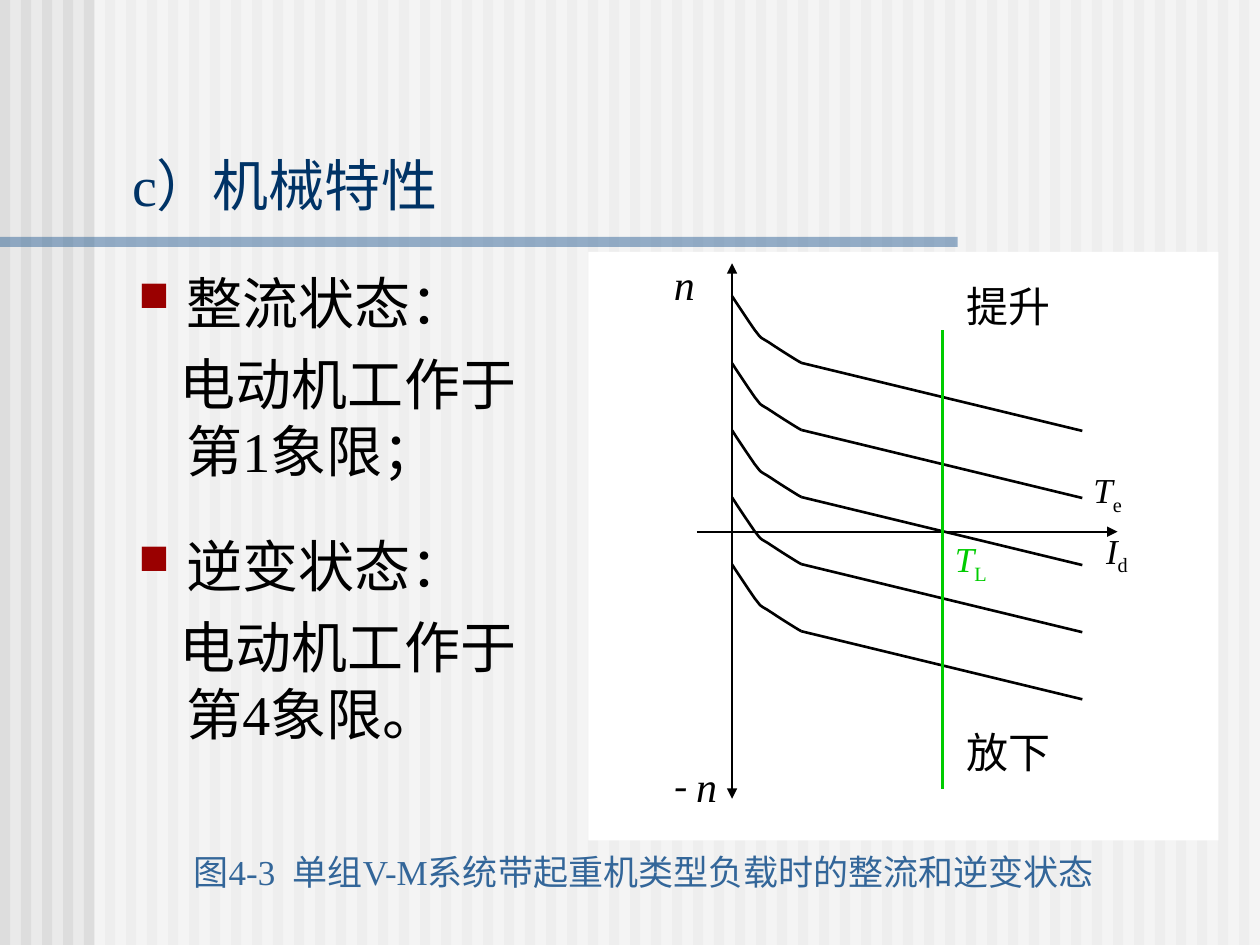
import pptx
import pptx.dml.color
import pptx.enum.shapes
import pptx.enum.text
import pptx.oxml
import pptx.oxml.ns
import pptx.util
from pptx.util import Inches

SERIF, SANS = "Times New Roman", "Karla"
BLACK, WHITE, GREEN = "000000", "FFFFFF", "00CC00"
NAVY, BLUE, RED, GREY = "003366", "336699", "9A0000", "DDDDDD"


def colour(code):
    return pptx.dml.color.RGBColor.from_string(code)


def element(tag, **attributes):
    node = pptx.oxml.parse_xml(f"<{tag} {pptx.oxml.ns.nsdecls('a')}/>")
    for key, value in attributes.items():
        node.set(key, str(value))
    return node


def add_run(paragraph, text, size=24, font=SERIF, color=BLACK, italic=False,
            baseline=None, spacing=None):
    run = paragraph.add_run()
    run.text = text
    run.font.size = pptx.util.Pt(size)
    run.font.name = font
    run.font.italic = italic
    run.font.color.rgb = colour(color)
    properties = run._r.get_or_add_rPr()
    if baseline is not None:
        properties.set("baseline", str(baseline))
    if spacing is not None:
        properties.set("spc", str(spacing))


def cubic(p0, p1, p2, p3, steps=8):
    """Points along a Bezier curve, without its start."""
    for step in range(1, steps + 1):
        t = step / steps
        weights = ((1 - t) ** 3, 3 * t * (1 - t) ** 2, 3 * t * t * (1 - t), t ** 3)
        yield tuple(sum(w * p[axis] for w, p in zip(weights, (p0, p1, p2, p3)))
                    for axis in (0, 1))


class SlideBuilder:
    def __init__(self, slide, background):
        self.slide = slide
        self.shapes = slide.shapes
        slide.background.fill.solid()
        slide.background.fill.fore_color.rgb = colour(background)

    def rect(self, x, y, w, h, fill, alpha=None):
        box = self.shapes.add_shape(pptx.enum.shapes.MSO_SHAPE.RECTANGLE,
                                    Inches(x), Inches(y), Inches(w), Inches(h))
        box.shadow.inherit = False
        box.fill.solid()
        box.fill.fore_color.rgb = colour(fill)
        box.line.fill.background()
        if alpha is not None:
            fill_color = box._element.spPr.find(".//" + pptx.oxml.ns.qn("a:srgbClr"))
            fill_color.append(element("a:alpha", val=alpha * 1000))

    def line(self, start, end, color=BLACK, width=1.5, arrow=False):
        stroke = self.shapes.add_connector(
            pptx.enum.shapes.MSO_CONNECTOR.STRAIGHT,
            *(Inches(value) for value in (*start, *end)))
        stroke.line.color.rgb = colour(color)
        stroke.line.width = pptx.util.Pt(width)
        if arrow:
            stroke.line._get_or_add_ln().append(element("a:tailEnd", type="triangle"))
        stroke._element.spPr.append(element("a:effectLst"))

    def curve(self, points, width=1.5):
        start, *rest = [(Inches(x), Inches(y)) for x, y in points]
        builder = self.shapes.build_freeform(*start)
        builder.add_line_segments(rest, close=False)
        outline = builder.convert_to_shape()
        outline.shadow.inherit = False
        outline.fill.background()
        outline.line.color.rgb = colour(BLACK)
        outline.line.width = pptx.util.Pt(width)

    def frame(self, x, y, w, h):
        frame = self.shapes.add_textbox(Inches(x), Inches(y), Inches(w), Inches(h)).text_frame
        frame.word_wrap = True
        return frame

    def label(self, x, y, w, h, *runs):
        """Each run is a text with a dict of its format."""
        frame = self.frame(x, y, w, h)
        for text, style in runs:
            add_run(frame.paragraphs[0], text, **style)
        return frame

    def symbol(self, x, y, letter, index, color=BLACK):
        self.label(x, y, 0.66, 0.48,
                   (letter, dict(size=20, color=color, italic=True)),
                   (index, dict(size=20, color=color, baseline=-25000)))

    def body(self, x, y, w, h, states):
        frame = self.frame(x, y, w, h)
        for number, (heading, detail) in enumerate(states):
            title = frame.paragraphs[0] if number == 0 else frame.add_paragraph()
            if number:
                title.space_before = pptx.util.Pt(27)
            self.indent(title, 0.38, -0.38)
            bullet_color = element("a:buClr")
            bullet_color.append(element("a:srgbClr", val=RED))
            for node in (bullet_color, element("a:buSzPct", val=75000),
                         element("a:buChar", char="■")):
                title._p.get_or_add_pPr().append(node)
            add_run(title, heading, size=32)

            work = frame.add_paragraph()
            work.space_before = pptx.util.Pt(8)
            self.indent(work, 0.38, -0.05)
            add_run(work, detail, size=32)

    @staticmethod
    def indent(paragraph, margin, first):
        properties = paragraph._p.get_or_add_pPr()
        properties.set("marL", str(Inches(margin)))
        properties.set("indent", str(Inches(first)))


def main():
    deck = pptx.Presentation()
    deck.slide_width, deck.slide_height = Inches(10), Inches(7.5)
    page = SlideBuilder(deck.slides.add_slide(deck.slide_layouts[6]), "EAEAEA")

    # Striped background, veil and title rule
    for stripe in range(60):
        page.rect(stripe / 6, 0, 0.08, 7.5, GREY)
    page.rect(0.75, 0, 9.25, 7.5, WHITE, alpha=50)
    page.rect(0, 1.88, 7.6, 0.08, BLUE, alpha=50)

    # Diagram panel and axes
    page.rect(4.67, 2, 5, 4.67, WHITE)
    axis_x, axis_y = 5.81, 4.22
    for tip in (6.34, 2.09):
        page.line((axis_x, axis_y), (axis_x, tip), width=1, arrow=True)
    page.line((5.53, axis_y), (8.87, axis_y), width=1, arrow=True)

    # Family of characteristics: curved start, then a straight fall
    bends = [((0, 0), (0.07, 0.11), (0.14, 0.21), (0.18, 0.27)),
             ((0.18, 0.27), (0.23, 0.33), (0.21, 0.32), (0.28, 0.36)),
             ((0.28, 0.36), (0.34, 0.4), (0.51, 0.51), (0.55, 0.53))]
    profile = [(0, 0)] + [point for bend in bends for point in cubic(*bend)]
    for level in range(5):
        top = 2.35 + level * 2.13 / 4
        page.curve([(axis_x + x, top + y) for x, y in profile])
        page.line((axis_x + 0.55, top + 0.53), (8.59, top + 1.07))

    # Load torque
    page.line((7.48, 2.62), (7.48, 6.26), color=GREEN)

    # Diagram labels
    speed = ("n", dict(italic=True))
    page.label(5.25, 2, 0.56, 0.5, speed)
    page.label(5.25, 5.99, 0.84, 0.5, ("- ", dict(font=SANS, italic=True)), speed)
    for y, direction in ((2.18, "提升"), (5.72, "放下")):
        page.label(7.57, y, 1.02, 0.5, (direction, dict(font=SANS)))
    page.symbol(8.68, 4.15, "I", "d")
    page.symbol(8.58, 3.67, "T", "e")
    page.symbol(7.48, 4.22, "T", "L", color=GREEN)

    # Title, body and caption
    title = page.label(0.95, 1.14, 8.93, 0.64, ("c）机械特性", dict(size=32, color=NAVY)))
    title.vertical_anchor = pptx.enum.text.MSO_ANCHOR.BOTTOM
    page.body(1, 2.08, 3.52, 4.29, [("整流状态：", "电动机工作于第1象限；"),
                                    ("逆变状态：", "电动机工作于第4象限。")])
    caption_style = dict(size=20, color=BLUE)
    caption = page.label(1.1, 6.7, 8.02, 0.5,
                         ("图4-3", caption_style),
                         (" ", dict(caption_style, spacing=500)),
                         ("单组V-M系统带起重机类型负载时的整流和逆变状态", caption_style))
    caption.paragraphs[0].alignment = pptx.enum.text.PP_ALIGN.CENTER

    deck.save("out.pptx")


if __name__ == "__main__":
    main()
